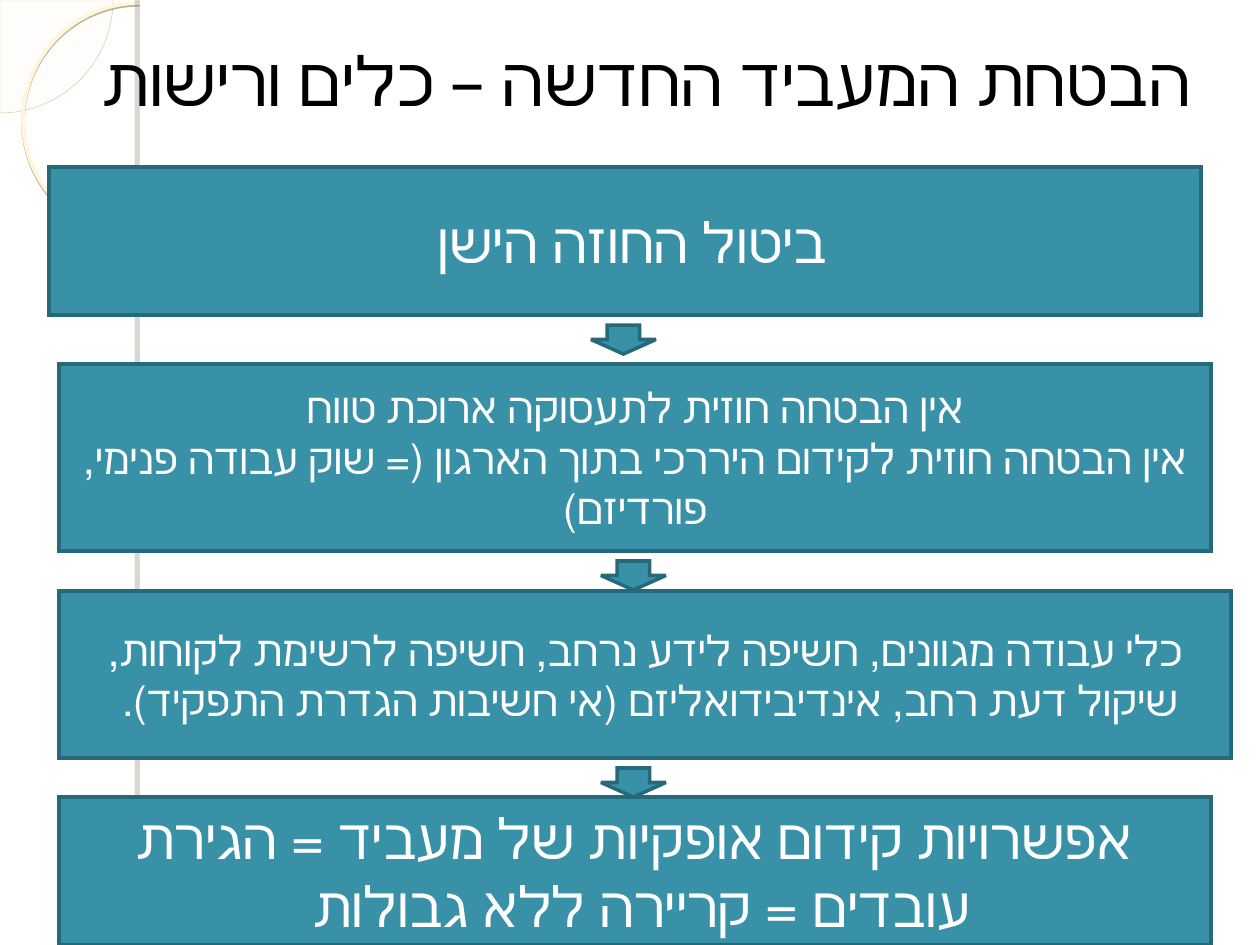
"""Builds a Hebrew slide: four steps of the new employer promise, joined by down arrows."""
import lxml.etree
import pptx
import pptx.util
import pptx.dml.color
import pptx.enum.shapes
import pptx.enum.text
import pptx.oxml.ns

PX = 914400 / 126
FONT = "Calibri"
TEAL = pptx.dml.color.RGBColor(0x38, 0x91, 0xA7)
DARK_TEAL = pptx.dml.color.RGBColor(0x26, 0x69, 0x7A)
WHITE = pptx.dml.color.RGBColor(0xFF, 0xFF, 0xFF)
BLACK = pptx.dml.color.RGBColor(0, 0, 0)
CREAM = pptx.dml.color.RGBColor(0xFF, 0xF6, 0xDB)
IVORY = pptx.dml.color.RGBColor(0xFF, 0xFD, 0xFB)
SAND = pptx.dml.color.RGBColor(0xD2, 0xC3, 0x9E)
SHAPES = pptx.enum.shapes.MSO_SHAPE
ALIGN = pptx.enum.text.PP_ALIGN
qn = pptx.oxml.ns.qn

deck = pptx.Presentation()
deck.slide_width = pptx.util.Inches(10)
deck.slide_height = pptx.util.Inches(7.5)
page = deck.slides.add_slide(deck.slide_layouts[6])


def add_shape(kind, bounds, fill=None, line=None, width=2, shadow=None):
    shape = page.shapes.add_shape(kind, *[round(length * PX) for length in bounds])
    shape.shadow.inherit = False
    if fill is None:
        shape.fill.background()
    else:
        shape.fill.solid()
        shape.fill.fore_color.rgb = fill
    if line is None:
        shape.line.fill.background()
    else:
        shape.line.color.rgb = line
        shape.line.width = pptx.util.Pt(width)
        outline = shape._element.spPr.find(qn("a:ln"))
        lxml.etree.SubElement(outline, qn("a:miter"), lim="800000")
    if shadow:
        tint, alpha, distance, angle = shadow
        effects = shape._element.spPr.find(qn("a:effectLst"))
        outer = lxml.etree.SubElement(
            effects, qn("a:outerShdw"), blurRad="0", dist=str(distance * 12700),
            dir=str(angle * 60000), algn="tl", rotWithShape="0")
        color = lxml.etree.SubElement(outer, qn("a:srgbClr"), val=tint)
        lxml.etree.SubElement(color, qn("a:alpha"), val=str(alpha * 1000))
    return shape


def write_hebrew(box, lines, size, color, align):
    frame = box.text_frame
    frame.word_wrap = True
    frame.vertical_anchor = pptx.enum.text.MSO_ANCHOR.MIDDLE
    frame.text = "\n".join(lines)
    for para in frame.paragraphs:
        para.alignment = align
        para.font.size = pptx.util.Pt(size)
        para.font.name = FONT
        para.font.color.rgb = color
        para._p.get_or_add_pPr().set("rtl", "1")


corner = add_shape(SHAPES.PIE, (-113, -113, 226, 226), IVORY, SAND, 0.25)
corner.adjustments[0] = 0
corner.adjustments[1] = 54

add_shape(SHAPES.OVAL, (23, 3, 234, 234), line=CREAM, width=2.15,
          shadow=("AFA58D", 85, 1, 90))
add_shape(SHAPES.RECTANGLE, (140, 0, 1120, 945), WHITE)
add_shape(SHAPES.RECTANGLE, (140, 0, 10, 945), WHITE, shadow=("706B5F", 25, 3, 180))

title = page.shapes.add_textbox(*[round(length * PX) for length in (69, 0, 1134, 158)])
write_hebrew(title, ["הבטחת המעביד החדשה – כלים ורישות"], 39, BLACK, ALIGN.RIGHT)

steps = [
    ((49, 167, 1152, 148), 32, ["ביטול החוזה הישן "]),
    ((59, 364, 1152, 187), 24, [
        "אין הבטחה חוזית לתעסוקה ארוכת טווח",
        "אין הבטחה חוזית לקידום היררכי בתוך הארגון (= שוק עבודה פנימי, פורדיזם)"]),
    ((59, 591, 1172, 167), 24, [
        "כלי עבודה מגוונים, חשיפה לידע נרחב, חשיפה לרשימת לקוחות, "
        "שיקול דעת רחב, אינדיבידואליזם (אי חשיבות הגדרת התפקיד). "]),
    ((59, 797, 1152, 148), 32, [
        "אפשרויות קידום אופקיות של מעביד = הגירת עובדים = קריירה ללא גבולות "]),
]
for bounds, size, lines in steps:
    box = add_shape(SHAPES.RECTANGLE, bounds, TEAL, DARK_TEAL)
    write_hebrew(box, lines, size, WHITE, ALIGN.CENTER)

for (left, top, width, height), size, lines in steps[:-1]:
    add_shape(SHAPES.DOWN_ARROW, (left + 542, top + height + 10, 65, 29), TEAL, DARK_TEAL)

deck.save("out.pptx")
